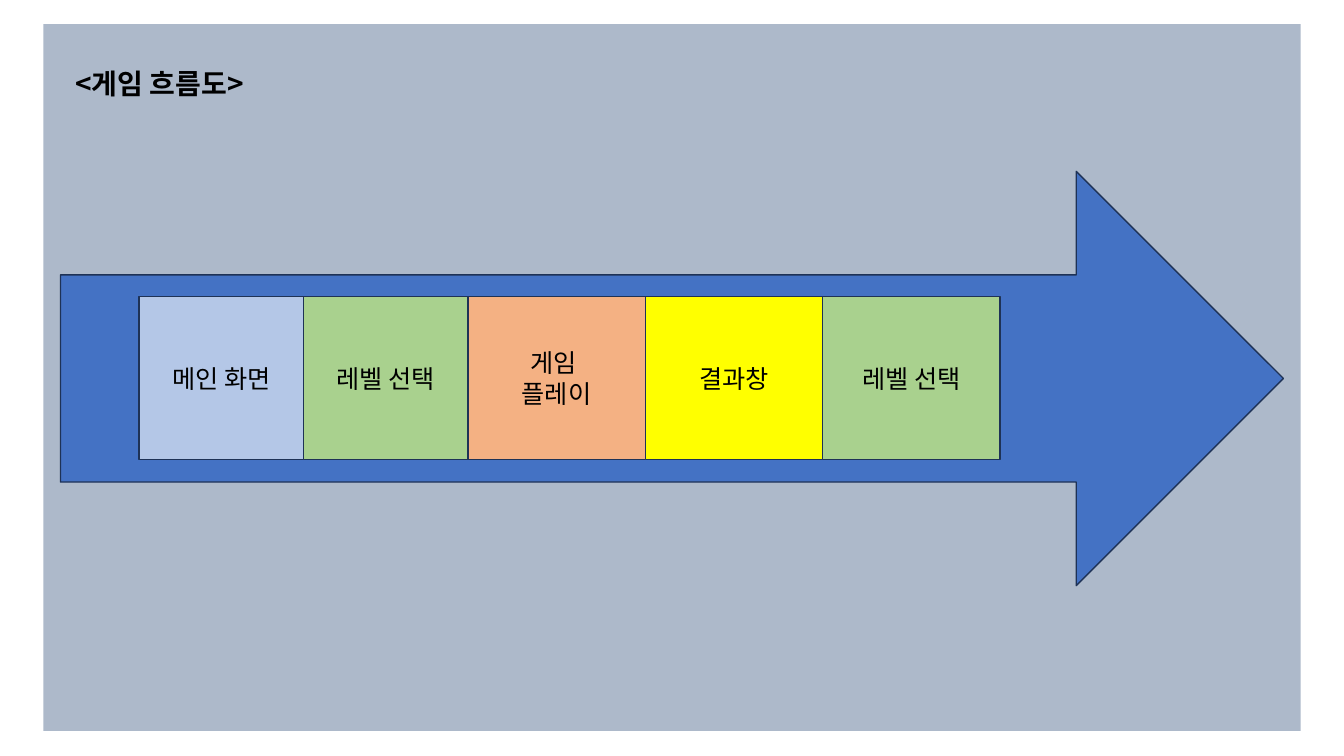
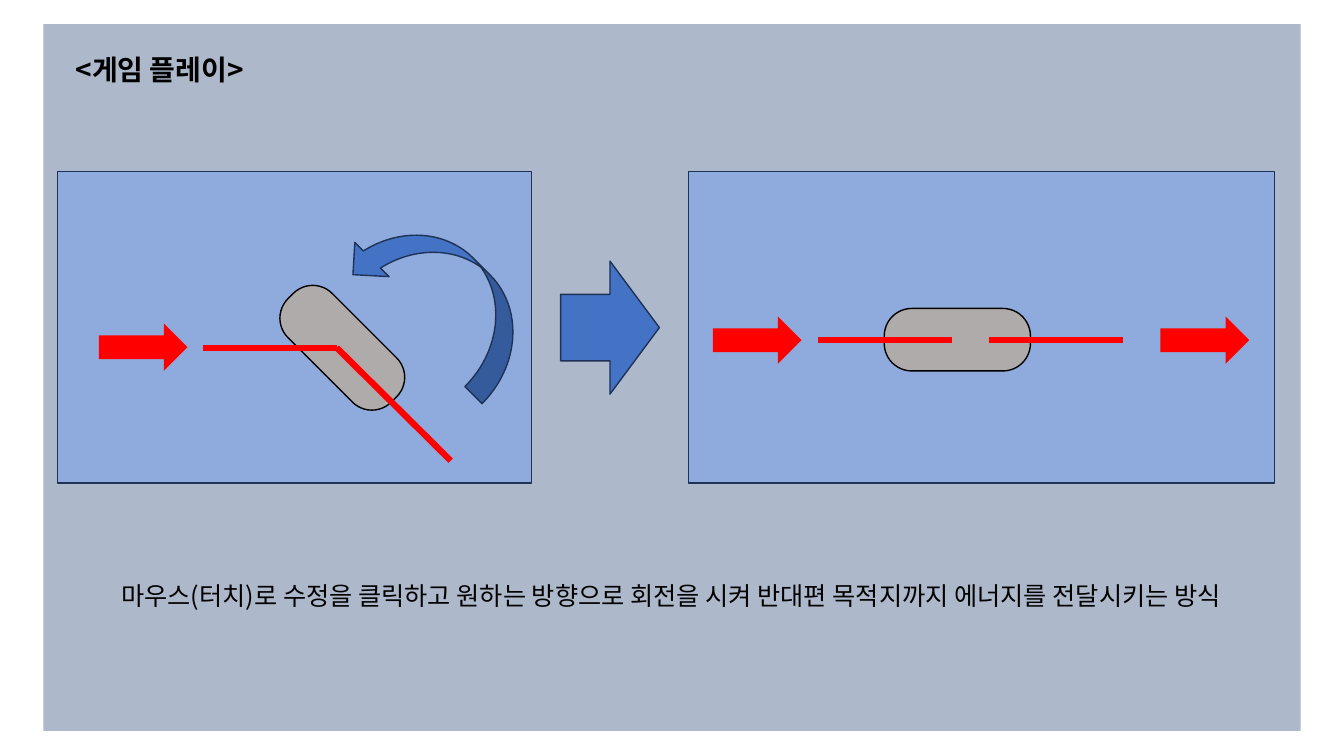
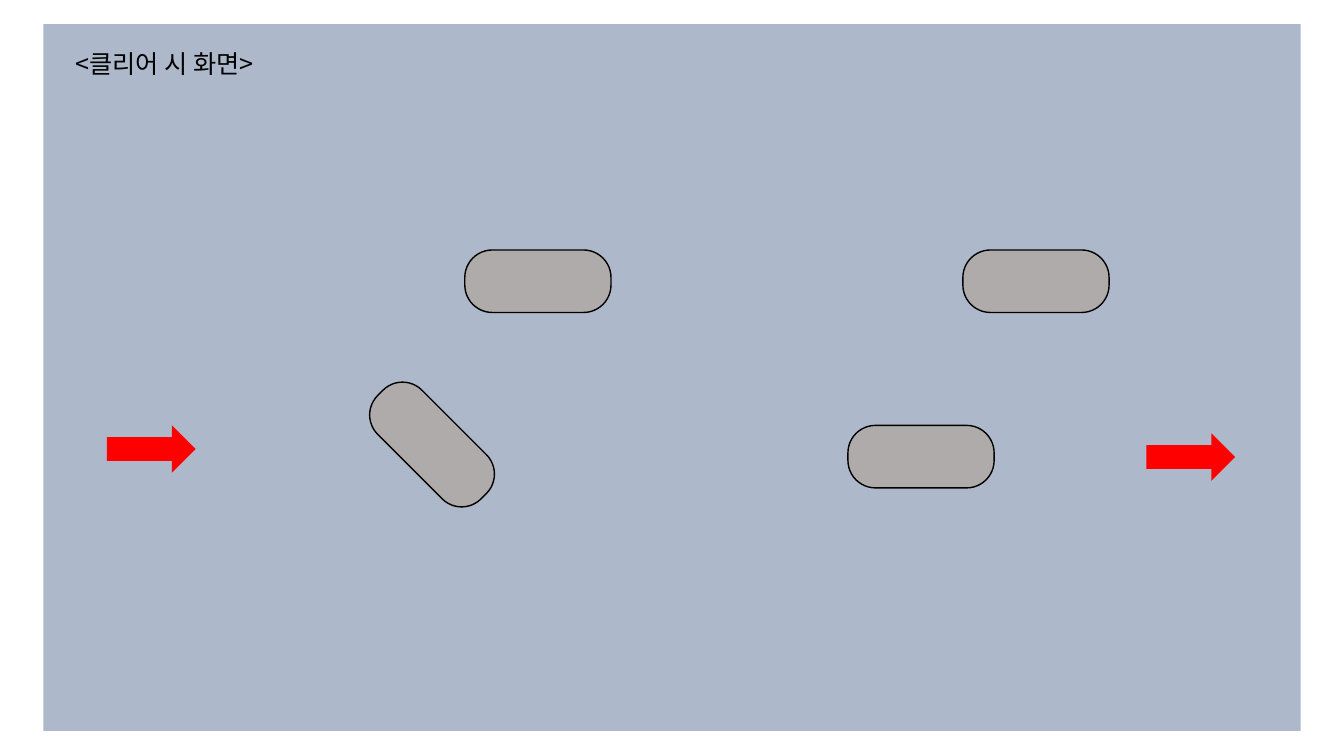
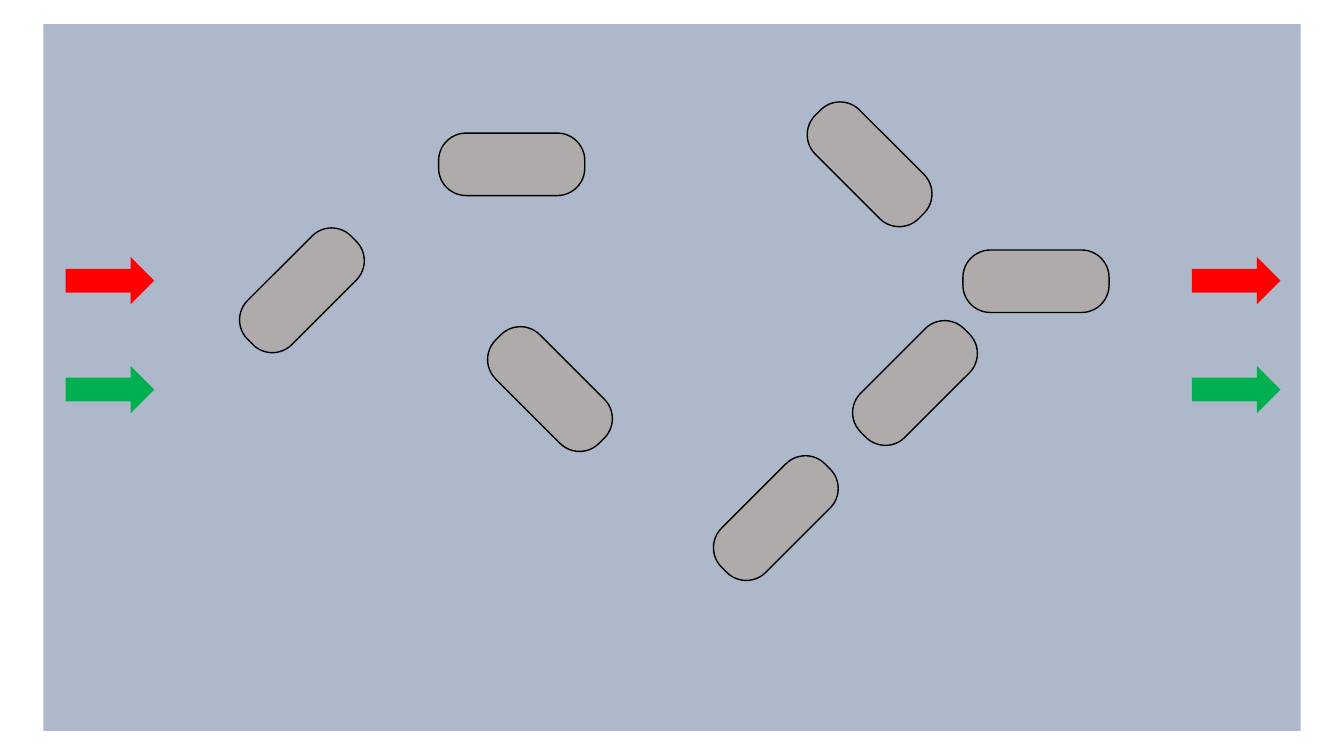
from itertools import pairwise

from lxml import etree
from pptx import Presentation
from pptx import util as u
from pptx.dml.color import RGBColor
from pptx.enum import shapes, text
from pptx.oxml.ns import qn

PX = 9144  # 100 px to the inch
FONT = "Noto Sans CJK KR"
PANEL = (43, 24, 1247, 701)
CAPSULE_SIZE = (145, 62)
SIGNAL_SIZE = (88, 47)
BLACK, NAVY, BLUE = "000000", "1E3256", "4472C4"
RED, GREEN, GRAY = "FF0000", "00B050", "AFABAB"
PANEL_FILL, SCENE_FILL = "ADB9CA", "8FAADC"
SHAPE = shapes.MSO_SHAPE
ALIGN = text.PP_ALIGN


def px(*lengths):
    return [u.Emu(length * PX) for length in lengths]


def color(value):
    return RGBColor.from_string(value)


def inside(box, left, top, width, height):
    """Turn a place relative to box into a place on the page."""
    return box[0] + left, box[1] + top, width, height


def write(shape, lines, size, align, bold=False):
    frame = shape.text_frame
    for index, line in enumerate(lines):
        para = frame.add_paragraph() if index else frame.paragraphs[0]
        para.alignment = align
        span = para.add_run()
        span.text = line
        formats = {"name": FONT, "size": u.Pt(size), "bold": bold}
        for key, value in formats.items():
            setattr(span.font, key, value)
        span.font.color.rgb = color(BLACK)
        east_asian = etree.SubElement(span.font._element, qn("a:ea"))
        east_asian.set("typeface", FONT)


def add_shape(parent, kind, box, fill, line=None, turn=0):
    shape = parent.shapes.add_shape(kind, *px(*box))
    shape.shadow.inherit = False
    shape.rotation = turn
    shape.fill.solid()
    shape.fill.fore_color.rgb = color(fill)
    if line:
        shape.line.color.rgb = color(line)
        shape.line.width = u.Pt(1)
    else:
        shape.line.fill.background()
    return shape


def add_label(page, box, line, size, align=ALIGN.LEFT, bold=False):
    label = page.shapes.add_textbox(*px(*box))
    formats = {"word_wrap": False, "auto_size": text.MSO_AUTO_SIZE.SHAPE_TO_FIT_TEXT}
    for key, value in formats.items():
        setattr(label.text_frame, key, value)
    write(label, [line], size, align, bold)


def add_capsule(parent, box, left, top, turn=0):
    place = inside(box, left, top, *CAPSULE_SIZE)
    capsule = add_shape(parent, SHAPE.ROUNDED_RECTANGLE, place, GRAY, BLACK, turn)
    capsule.adjustments[0] = 0.44


def add_signal(parent, box, left, top, fill=RED):
    add_shape(parent, SHAPE.RIGHT_ARROW, inside(box, left, top, *SIGNAL_SIZE), fill)


def add_beam(parent, box, *points):
    """Draw a red line through points relative to box."""
    spots = [(box[0] + x, box[1] + y) for x, y in points]
    for start, end in pairwise(spots):
        beam = parent.shapes.add_connector(
            shapes.MSO_CONNECTOR.STRAIGHT, *px(*start, *end))
        beam.line.color.rgb = color(RED)
        beam.line.width = u.Pt(4.5)
        etree.SubElement(beam._element.spPr, qn("a:effectLst"))


def add_page(deck):
    page = deck.slides.add_slide(deck.slide_layouts[6])
    add_shape(page, SHAPE.RECTANGLE, PANEL, PANEL_FILL)
    return page


def add_flow(page, box):
    add_shape(page, SHAPE.RIGHT_ARROW, box, BLUE, NAVY)
    steps = [
        (163, "B4C7E7", ["메인 화면"]),
        (163, "A9D18E", ["레벨 선택"]),
        (176, "F4B183", ["게임 ", "플레이"]),
        (176, "FFFF00", ["결과창"]),
        (176, "A9D18E", ["레벨 선택"]),
    ]
    left = 78
    for width, fill, lines in steps:
        step = add_shape(page, SHAPE.RECTANGLE, inside(box, left, 124, width, 162),
                         fill, NAVY)
        step.text_frame.vertical_anchor = text.MSO_ANCHOR.MIDDLE
        write(step, lines, 18, ALIGN.CENTER)
        left += width


def add_scene(page, box):
    scene = page.shapes.add_group_shape()
    add_shape(scene, SHAPE.RECTANGLE, box, SCENE_FILL, NAVY)
    return scene


def add_turning_scene(page, box):
    scene = add_scene(page, box)
    add_signal(scene, box, 41, 151)
    add_capsule(scene, box, 210, 144, 45)
    add_beam(scene, box, (144, 175), (277, 175), (390, 287))
    add_shape(scene, SHAPE.CURVED_UP_ARROW, inside(box, 280, 76, 205, 96),
              BLUE, NAVY, 225)


def add_solved_scene(page, box):
    scene = add_scene(page, box)
    add_capsule(scene, box, 194, 136)
    for left in (128, 298):
        add_beam(scene, box, (left, 167), (left + 133, 167))
    for left in (24, 468):
        add_signal(scene, box, left, 144)


def add_board(page, box, signals, capsules):
    for signal in signals:
        add_signal(page, box, *signal)
    for capsule in capsules:
        add_capsule(page, box, *capsule)


def flow_page(deck):
    page = add_page(deck)
    add_flow(page, inside(PANEL, 17, 146, 1213, 411))
    add_label(page, inside(PANEL, 22, 37, 210, 44), "<게임 흐름도>", 20, bold=True)


def play_page(deck):
    page = add_page(deck)
    add_label(page, inside(PANEL, 22, 23, 211, 44), "<게임 플레이>", 20, bold=True)
    add_turning_scene(page, inside(PANEL, 14, 146, 470, 309))
    add_label(page, inside(PANEL, 0, 547, 1245, 40),
              "마우스(터치)로 수정을 클릭하고 원하는 방향으로 회전을 시켜 "
              "반대편 목적지까지 에너지를 전달시키는 방식", 18, ALIGN.CENTER)
    add_solved_scene(page, inside(PANEL, 640, 146, 581, 309))
    add_shape(page, SHAPE.RIGHT_ARROW, inside(PANEL, 513, 235, 98, 132), BLUE, NAVY)


def clear_page(deck):
    page = add_page(deck)
    add_board(page, PANEL,
              signals=[(63, 398), (1094, 406)],
              capsules=[(313, 386, 45), (418, 224), (798, 398), (912, 224)])
    add_label(page, inside(PANEL, 22, 19, 225, 40), "<클리어 시 화면>", 18)


def two_color_page(deck):
    page = add_page(deck)
    add_board(page, PANEL,
              signals=[(left, top, fill) for top, fill in ((231, RED), (339, GREEN))
                       for left in (22, 1139)],
              capsules=[(184, 233, 135), (392, 108), (747, 108, 45), (912, 224),
                        (430, 331, 45), (654, 459, 315), (792, 325, 315)])


def main():
    deck = Presentation()
    deck.slide_width, deck.slide_height = px(1333, 750)
    for build in (flow_page, play_page, clear_page, two_color_page):
        build(deck)
    deck.save("out.pptx")


if __name__ == "__main__":
    main()
